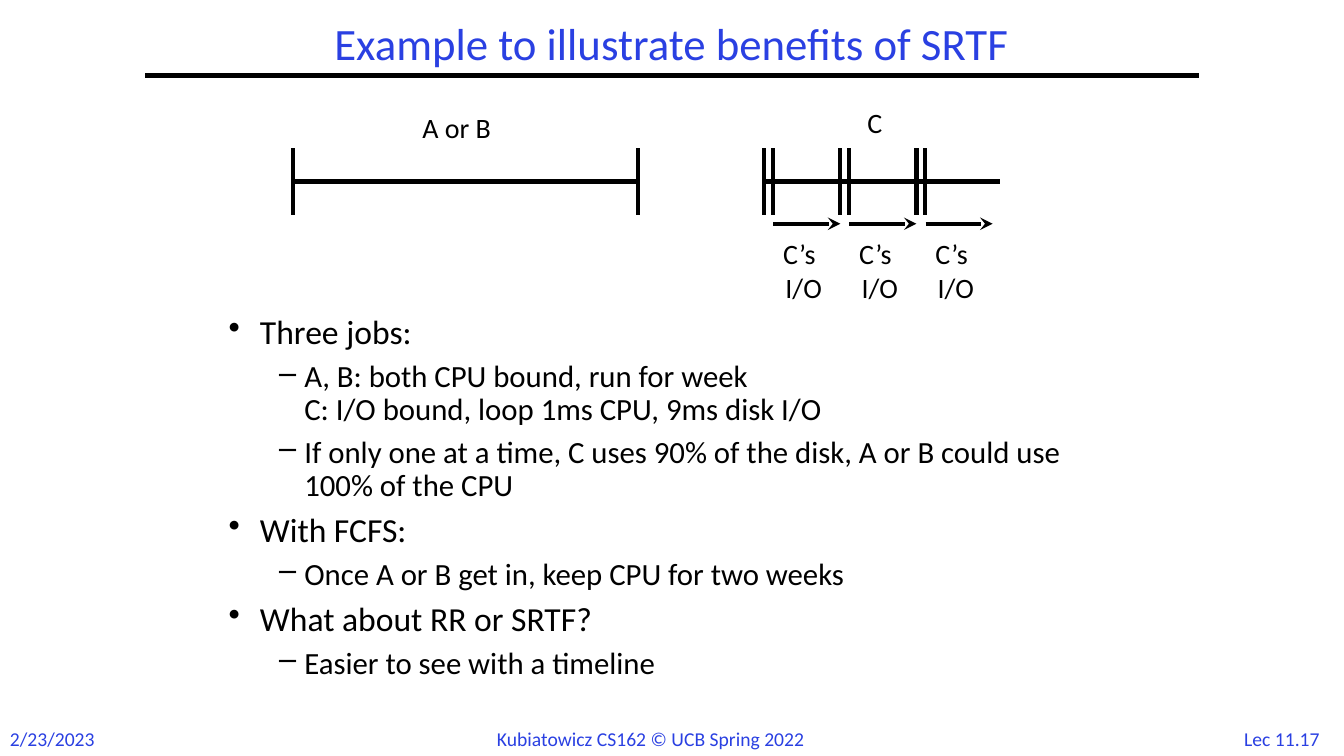
from lxml import etree
from pptx import Presentation
from pptx.dml.color import RGBColor
from pptx.enum.shapes import MSO_CONNECTOR
from pptx.enum.text import MSO_ANCHOR, MSO_AUTO_SIZE, PP_ALIGN
from pptx.oxml.ns import qn
from pptx.util import Inches, Pt

STRAIGHT = MSO_CONNECTOR.STRAIGHT
MIDDLE = MSO_ANCHOR.MIDDLE
NO_FIT = MSO_AUTO_SIZE.NONE
LEFT, CENTER, RIGHT = PP_ALIGN.LEFT, PP_ALIGN.CENTER, PP_ALIGN.RIGHT

BLACK = RGBColor(0x00, 0x00, 0x00)
BLUE = RGBColor(0x2A, 0x40, 0xE2)
FONT = "Calibri"

AXIS_Y, TICK_TOP, TICK_BOTTOM, ARROW_Y = 1.8, 1.47, 2.13, 2.22
JOB_START, JOB_END = 2.91, 6.33
LOOP_START, LOOP_END, LOOP_PERIOD, BURST = 7.58, 9.92, 0.755, 0.085
LOOP_COUNT = 3

OUTLINE = [
    (0, "Three jobs:"),
    (1, "A, B: both CPU bound, run for week\nC: I/O bound, loop 1ms CPU, 9ms disk I/O"),
    (1, "If only one at a time, C uses 90% of the disk, A or B could use 100% of the CPU"),
    (0, "With FCFS:"),
    (1, "Once A or B get in, keep CPU for two weeks"),
    (0, "What about RR or SRTF?"),
    (1, "Easier to see with a timeline"),
]
LEVELS = [("•", 24, 0.31, 0.31), ("–", 22, 0.75, 0.25)]


def write(para, text, size=20, color=BLACK, align=LEFT, spacing=None):
    para.text = text
    para.alignment = align
    para.line_spacing = spacing
    for span in para.runs:
        span.font.name = FONT
        span.font.size = Pt(size)
        span.font.color.rgb = color


def add_label(page, lines, left, top, width, height, **style):
    box = page.shapes.add_textbox(Inches(left), Inches(top), Inches(width), Inches(height))
    frame = box.text_frame
    frame.word_wrap = False
    for index, line in enumerate(lines):
        para = frame.add_paragraph() if index else frame.paragraphs[0]
        write(para, line, **style)


def add_line(page, x1, y1, x2, y2, arrow=False):
    line = page.shapes.add_connector(STRAIGHT, Inches(x1), Inches(y1), Inches(x2), Inches(y2))
    line.line.color.rgb = BLACK
    line.line.width = Pt(3)
    if arrow:
        etree.SubElement(line.line._get_or_add_ln(), qn("a:tailEnd"), type="stealth")
    etree.SubElement(line._element.spPr, qn("a:effectLst"))


def add_tick(page, x):
    add_line(page, x, TICK_TOP, x, TICK_BOTTOM)


def set_title(page, text):
    title = page.shapes.title
    title.left, title.top = Inches(1.44), Inches(0.17)
    title.width, title.height = Inches(10.44), Inches(0.58)
    frame = title.text_frame
    frame.auto_size = NO_FIT
    frame.vertical_anchor = MIDDLE
    write(frame.paragraphs[0], text, size=32, color=BLUE, align=CENTER, spacing=0.9)
    add_line(page, 1.44, 0.75, 11.89, 0.75)


def add_outline(page):
    box = page.shapes.add_textbox(Inches(2.17), Inches(3.08), Inches(9.08), Inches(3.85))
    frame = box.text_frame
    frame.word_wrap = True
    for index, (level, text) in enumerate(OUTLINE):
        bullet, size, margin, hanging = LEVELS[level]
        para = frame.add_paragraph() if index else frame.paragraphs[0]
        para.level = level
        write(para, text, size=size, spacing=0.9)
        if index:
            para.space_before = Pt(0.3 * size)
        properties = para._p.get_or_add_pPr()
        properties.set("marL", str(Inches(margin)))
        properties.set("indent", str(-Inches(hanging)))
        etree.SubElement(properties, qn("a:buChar"), char=bullet)


def add_long_job(page):
    add_line(page, JOB_START, AXIS_Y, JOB_END, AXIS_Y)
    for x in (JOB_START, JOB_END):
        add_tick(page, x)
    add_label(page, ["A or B"], 4.09, 1.05, 0.97, 0.44)


def add_looping_job(page):
    add_line(page, LOOP_START, AXIS_Y, LOOP_END, AXIS_Y)
    add_label(page, ["C"], 8.45, 1, 0.4, 0.44, align=RIGHT)
    for index in range(LOOP_COUNT):
        start = LOOP_START + index * LOOP_PERIOD
        add_tick(page, start)
        add_tick(page, start + BURST)
        add_line(page, start + 0.09, ARROW_Y, start + LOOP_PERIOD, ARROW_Y, arrow=True)
        add_label(page, ["C’s ", "I/O"], start - 0.01, 2.3, 0.68, 0.77, align=RIGHT)


def add_footer(page):
    style = {"size": 14, "color": BLUE}
    add_label(page, ["2/23/2023"], 0, 7.16, 1.07, 0.34, **style)
    add_label(page, ["Kubiatowicz CS162 © UCB Spring 2022"], 4.83, 7.16, 3.68, 0.34, **style)
    add_label(page, ["Lec 11.17"], 12.18, 7.16, 1.07, 0.34, align=CENTER, **style)


def main():
    deck = Presentation()
    deck.slide_width, deck.slide_height = Inches(13.33), Inches(7.5)
    page = deck.slides.add_slide(deck.slide_layouts[5])
    set_title(page, "Example to illustrate benefits of SRTF")
    add_footer(page)
    add_outline(page)
    add_looping_job(page)
    add_long_job(page)
    deck.save("out.pptx")


if __name__ == "__main__":
    main()
